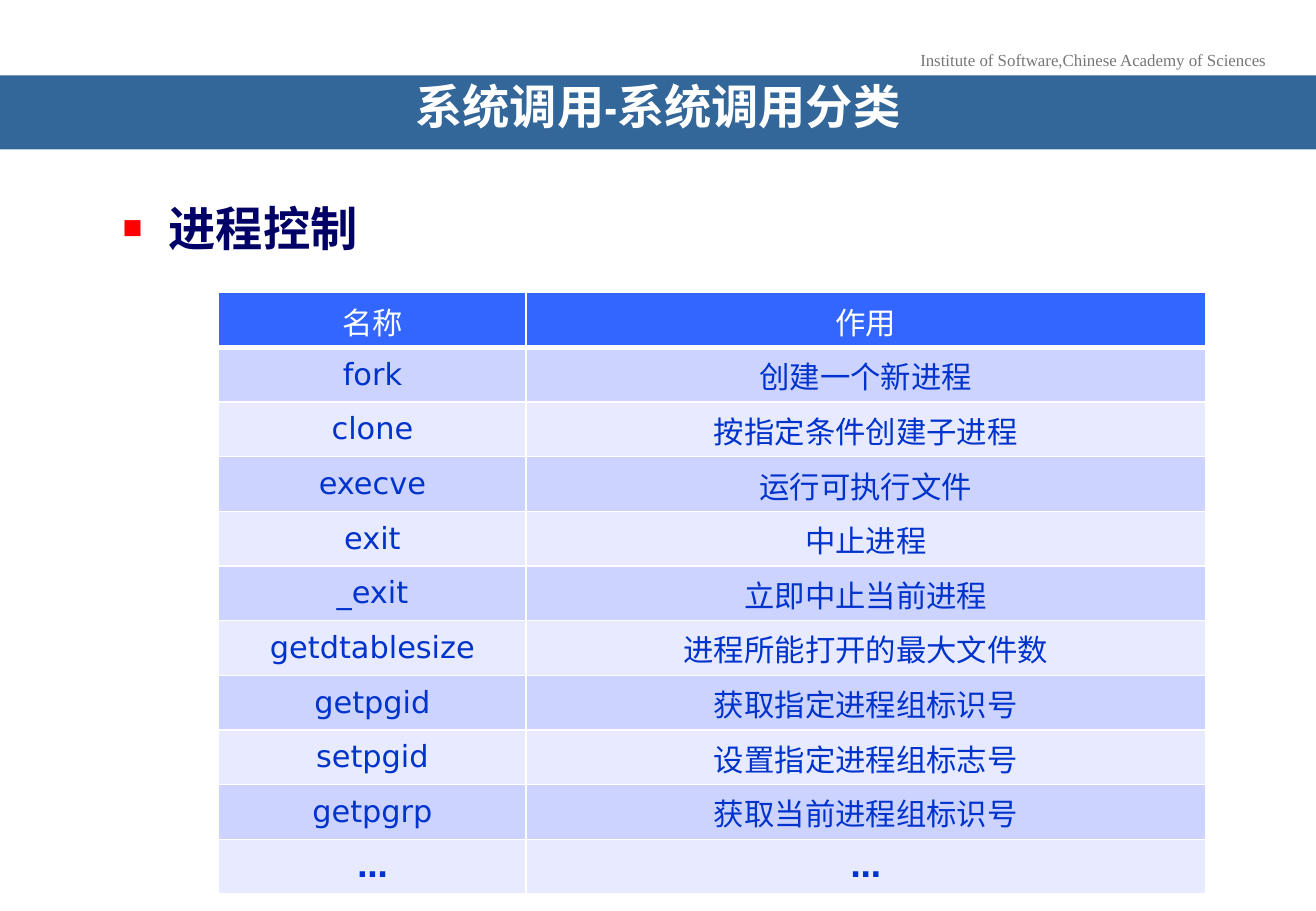
from dataclasses import dataclass
from typing import Any

from lxml import etree
from pptx import Presentation
from pptx.dml.color import RGBColor
from pptx.enum.shapes import MSO_SHAPE
from pptx.enum.text import MSO_ANCHOR, PP_ALIGN
from pptx.oxml.ns import qn
from pptx.util import Inches, Pt

RECT = MSO_SHAPE.RECTANGLE
MIDDLE, TOP = MSO_ANCHOR.MIDDLE, MSO_ANCHOR.TOP
CENTER, LEFT = PP_ALIGN.CENTER, PP_ALIGN.LEFT


@dataclass(frozen=True)
class Theme:
    white: str = "FFFFFF"
    gray: str = "777777"
    bar: str = "336699"
    navy: str = "000066"
    red: str = "FF0000"
    head: str = "3366FF"
    ink: str = "0033CC"
    bands: tuple[str, str] = ("CDD3FF", "E8EAFF")
    small: int = 10
    cell: int = 18
    large: int = 28
    thin: int = 1
    thick: int = 3


@dataclass(frozen=True)
class Style:
    face: str
    size: int
    color: str
    bold: bool = False
    align: Any = CENTER


@dataclass(frozen=True)
class Call:
    name: str
    role: str
    bold: bool = False


THEME = Theme()
ROWS = [
    Call("名称", "作用"),
    Call("fork", "创建一个新进程"),
    Call("clone", "按指定条件创建子进程"),
    Call("execve", "运行可执行文件"),
    Call("exit", "中止进程"),
    Call("_exit", "立即中止当前进程"),
    Call("getdtablesize", "进程所能打开的最大文件数"),
    Call("getpgid", "获取指定进程组标识号"),
    Call("setpgid", "设置指定进程组标志号"),
    Call("getpgrp", "获取当前进程组标识号"),
    Call("…", "…", True),
]
WIDTHS = (2.53, 5.59)
HEIGHT = 0.45


def apply(target: Any, values: dict[str, Any]) -> None:
    for key, value in values.items():
        setattr(target, key, value)


def color(code: str) -> RGBColor:
    return RGBColor.from_string(code)


def paint(target: Any, code: str) -> None:
    target.fill.solid()
    target.fill.fore_color.rgb = color(code)


def write(frame: Any, text: str, style: Style) -> Any:
    para = frame.paragraphs[0]
    para.alignment = style.align
    run = para.add_run()
    run.text = text
    apply(run.font, {"name": style.face, "size": Pt(style.size), "bold": style.bold})
    run.font.color.rgb = color(style.color)
    return para


def bullet(para: Any) -> None:
    props = para._p.get_or_add_pPr()
    apply_ind = {"marL": Inches(0.38), "indent": Inches(-0.38)}
    for key, value in apply_ind.items():
        props.set(key, str(value))
    tint = etree.SubElement(props, qn("a:buClr"))
    etree.SubElement(tint, qn("a:srgbClr"), val=THEME.red)
    etree.SubElement(props, qn("a:buSzPct"), val="70000")
    etree.SubElement(props, qn("a:buFont"), typeface="Arial")
    etree.SubElement(props, qn("a:buChar"), char="■")


def border(cell: Any, top: int, base: int) -> None:
    props = cell._tc.get_or_add_tcPr()
    sides = {"L": THEME.thin, "R": THEME.thin, "T": top, "B": base}
    for side, width in sides.items():
        line = etree.SubElement(props, qn(f"a:ln{side}"), w=str(Pt(width)))
        fill = etree.SubElement(line, qn("a:solidFill"))
        etree.SubElement(fill, qn("a:srgbClr"), val=THEME.white)


def add_label(slide: Any) -> None:
    box = slide.shapes.add_textbox(Inches(7.46), Inches(0.36), Inches(3.07), Inches(0.27))
    box.text_frame.word_wrap = False
    style = Style("Times New Roman", THEME.small, THEME.gray)
    write(box.text_frame, "Institute of Software,Chinese Academy of Sciences", style)


def add_title(slide: Any, width: int) -> None:
    bar = slide.shapes.add_shape(RECT, 0, Inches(0.62), width, Inches(0.61))
    bar.shadow.inherit = False
    paint(bar, THEME.bar)
    bar.line.fill.background()
    apply(bar.text_frame, {
        "word_wrap": True, "vertical_anchor": MIDDLE,
        "margin_left": Inches(0.31), "margin_right": Inches(0.31),
    })
    style = Style("Arial Narrow", THEME.large, THEME.white, True)
    para = write(bar.text_frame, "系统调用-系统调用分类", style)
    para.line_spacing = 0.7


def add_topic(slide: Any) -> None:
    box = slide.shapes.add_textbox(Inches(0.91), Inches(1.59), Inches(9.01), Inches(5.04))
    box.text_frame.word_wrap = True
    bullet(box.text_frame.paragraphs[0])
    style = Style("Arial", THEME.large, THEME.navy, True, LEFT)
    write(box.text_frame, "进程控制", style)


def add_calls(slide: Any) -> None:
    frame = slide.shapes.add_table(
        len(ROWS), len(WIDTHS), Inches(1.8), Inches(2.41),
        Inches(sum(WIDTHS)), Inches(HEIGHT * len(ROWS)),
    )
    table = frame.table
    apply(table, {"first_row": False, "horz_banding": False})
    for col, width in zip(table.columns, WIDTHS):
        col.width = Inches(width)
    for i, call in enumerate(ROWS):
        table.rows[i].height = Inches(HEIGHT)
        head = i == 0
        face = "Arial" if head else "DejaVu Sans"
        ink = THEME.white if head else THEME.ink
        style = Style(face, THEME.cell, ink, call.bold)
        side = Inches(0.1 if head else 0.05)
        for j, text in enumerate((call.name, call.role)):
            cell = table.cell(i, j)
            border(cell, THEME.thick if i == 1 else THEME.thin,
                   THEME.thick if head else THEME.thin)
            paint(cell, THEME.head if head else THEME.bands[(i - 1) % 2])
            apply(cell, {
                "vertical_anchor": TOP if head else MIDDLE,
                "margin_left": side, "margin_right": side,
                "margin_top": Inches(0.05), "margin_bottom": Inches(0.05),
            })
            write(cell.text_frame, text, style)


def main() -> None:
    deck = Presentation()
    apply(deck, {"slide_width": Inches(10.83), "slide_height": Inches(7.5)})
    slide = deck.slides.add_slide(deck.slide_layouts[6])
    add_label(slide)
    add_title(slide, deck.slide_width)
    add_topic(slide)
    add_calls(slide)
    deck.save("out.pptx")


if __name__ == "__main__":
    main()
